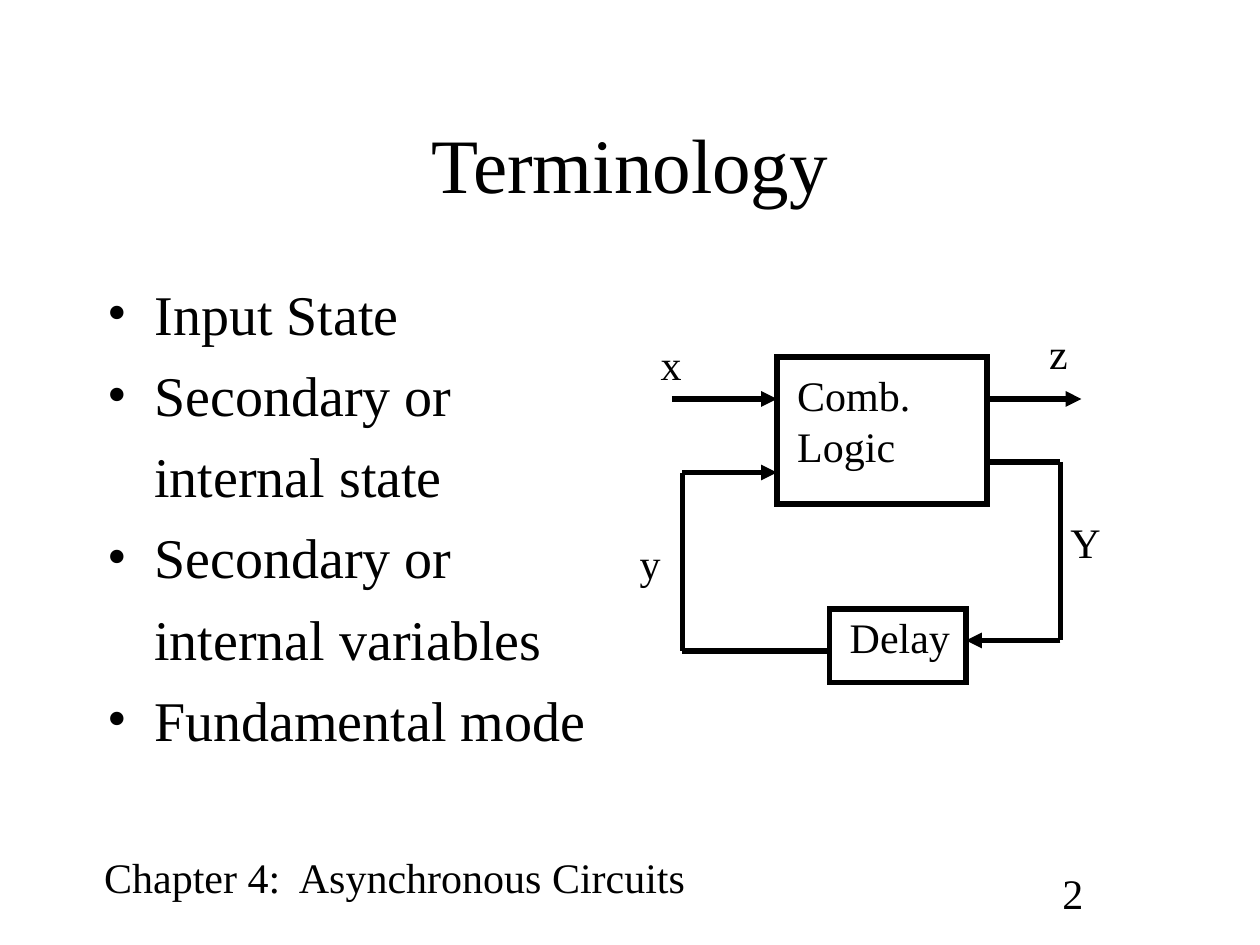
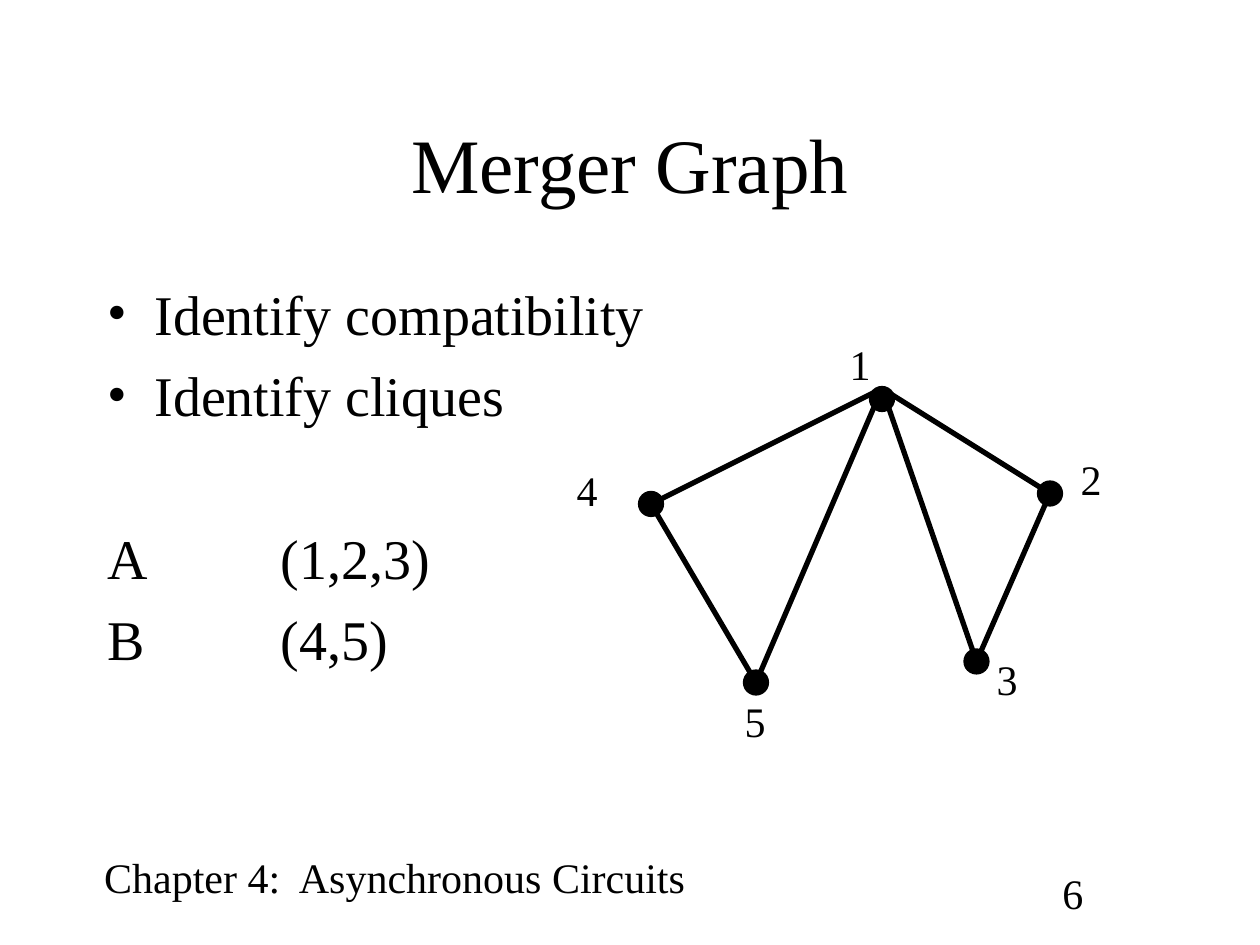
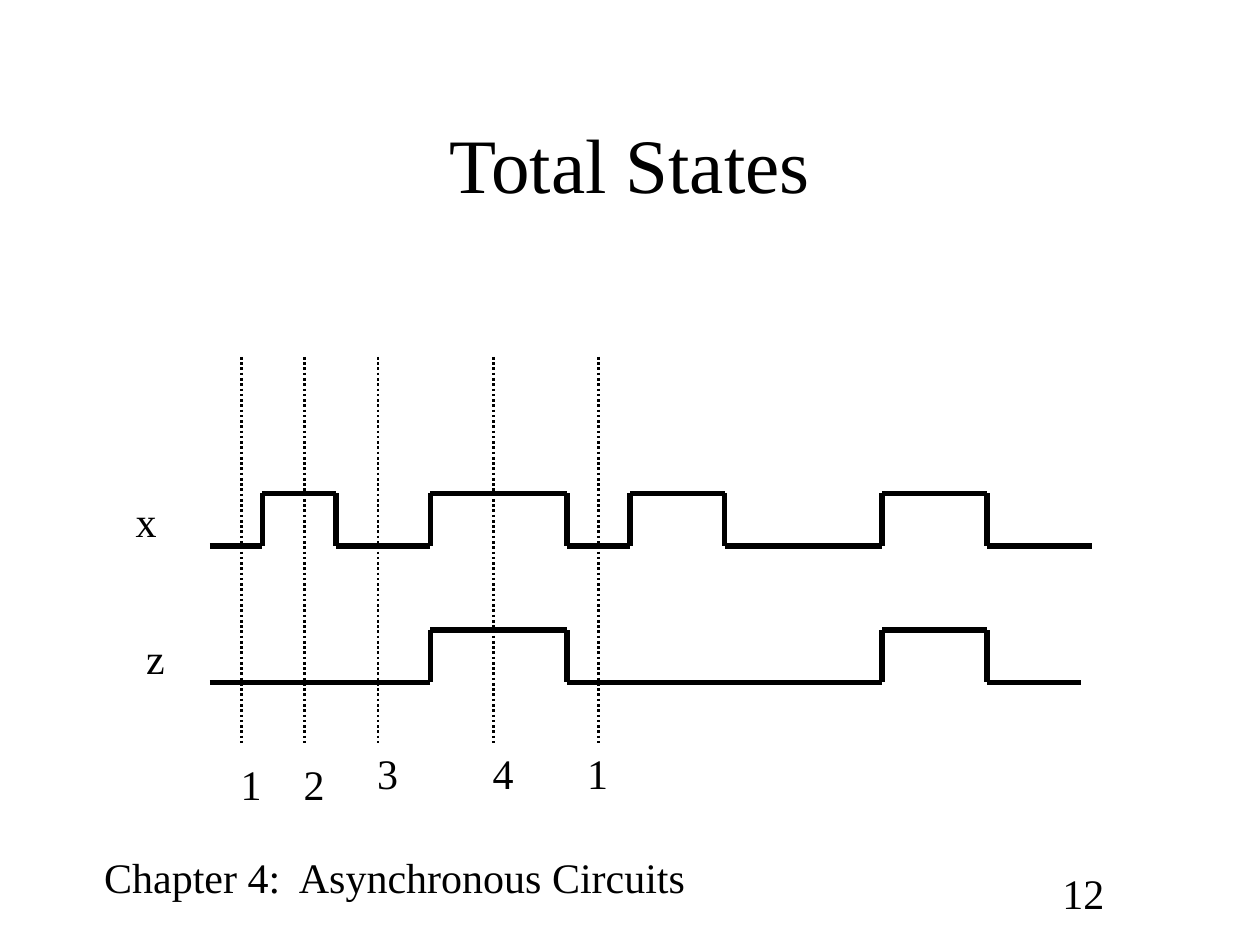
from dataclasses import dataclass
from itertools import pairwise

from lxml.etree import SubElement
from pptx import Presentation
from pptx.dml.color import RGBColor
from pptx.enum.dml import MSO_LINE
from pptx.enum.shapes import MSO_CONNECTOR as CONN, MSO_SHAPE as SHAPE
from pptx.enum.text import MSO_ANCHOR as ANCHOR, MSO_AUTO_SIZE as AUTO, PP_ALIGN as ALIGN
from pptx.oxml.ns import qn
from pptx.slide import Slide
from pptx.util import Emu, Pt

# Shared look
PX = 9525  # 96 px to the inch
FONT = "Times New Roman"
BLACK = RGBColor(0, 0, 0)
WHITE = RGBColor(255, 255, 255)
TITLE_SIZE, BODY_SIZE, LABEL_SIZE = 44, 32, 24
THICK, THIN = 3, 1.5
INDENT, COLUMN = 36, 132
FOOTER = "Chapter 4:  Asynchronous Circuits"
TITLE_ONLY, TITLE_AND_BODY = 5, 1


@dataclass(frozen=True)
class Label:
    text: str
    x: int
    y: int
    w: int = 35
    h: int = 48


@dataclass(frozen=True)
class Item:
    """One body line; a hanging line starts left of its margin."""
    text: str
    bullet: bool = True
    margin: int = INDENT
    hanging: bool = True
    before: float = 8


@dataclass(frozen=True)
class Box:
    x: int
    y: int
    w: int
    h: int


@dataclass(frozen=True)
class Path:
    """Connected straight segments, optionally ending in an arrowhead."""
    points: tuple[tuple[int, int], ...]
    arrow: bool = False


@dataclass(frozen=True)
class Node:
    x: int
    y: int
    joint_y: int  # height at which the edges meet the node
    label: Label


@dataclass(frozen=True)
class Wave:
    """A signal that starts low and toggles at each edge."""
    start: int
    edges: tuple[int, ...]
    end: int
    low: int
    label: Label


# Drawing helpers
def px(n: int) -> Emu:
    return Emu(n * PX)


def place(sp, x: int, y: int, w: int, h: int) -> None:
    sp.left, sp.top, sp.width, sp.height = px(x), px(y), px(w), px(h)


def add_run(p, text: str, size: int) -> None:
    r = p.add_run()
    r.text = text
    r.font.size, r.font.name = Pt(size), FONT
    r.font.color.rgb = BLACK


def add_label(s: Slide, label: Label, wrap: bool = False) -> None:
    sp = s.shapes.add_textbox(*map(px, (label.x, label.y, label.w, label.h)))
    tf = sp.text_frame
    tf.word_wrap = wrap
    tf.auto_size = AUTO.SHAPE_TO_FIT_TEXT
    for i, line in enumerate(label.text.split("\n")):
        p = tf.paragraphs[0] if i == 0 else tf.add_paragraph()
        add_run(p, line, LABEL_SIZE)


def add_line(s: Slide, start: tuple[int, int], end: tuple[int, int],
             width: float = THICK, arrow: bool = False, dotted: bool = False) -> None:
    c = s.shapes.add_connector(CONN.STRAIGHT, *map(px, (*start, *end)))
    c.line.color.rgb, c.line.width = BLACK, Pt(width)
    if dotted:
        c.line.dash_style = MSO_LINE.ROUND_DOT
    if arrow:
        SubElement(c.line._get_or_add_ln(), qn("a:tailEnd"), type="triangle")
    SubElement(c._element.spPr, qn("a:effectLst"))


def add_path(s: Slide, path: Path) -> None:
    last = len(path.points) - 2
    for i, (a, b) in enumerate(pairwise(path.points)):
        add_line(s, a, b, arrow=path.arrow and i == last)


def add_outline(s: Slide, kind: SHAPE, box: Box, filled: bool = False) -> None:
    sp = s.shapes.add_shape(kind, *map(px, (box.x, box.y, box.w, box.h)))
    sp.shadow.inherit = False
    if filled:
        sp.fill.solid()
        sp.fill.fore_color.rgb = BLACK
    else:
        sp.fill.background()
    sp.line.color.rgb, sp.line.width = BLACK, Pt(THICK)
    SubElement(sp.line._get_or_add_ln(), qn("a:miter"), lim="800000")


def add_item(p, item: Item, first: bool) -> None:
    pPr = p._p.get_or_add_pPr()
    pPr.set("marL", str(px(item.margin)))
    pPr.set("indent", str(px(-item.margin if item.hanging else 0)))
    if item.bullet:
        SubElement(pPr, qn("a:buFont"), typeface=FONT)
        SubElement(pPr, qn("a:buChar"), char="•")
    else:
        SubElement(pPr, qn("a:buNone"))
    p.space_before = Pt(0 if first else item.before)
    add_run(p, item.text, BODY_SIZE)


def add_slide(prs, title: str, number: int, items: tuple[Item, ...] = ()) -> Slide:
    s = prs.slides.add_slide(prs.slide_layouts[TITLE_AND_BODY if items else TITLE_ONLY])
    s.background.fill.solid()
    s.background.fill.fore_color.rgb = WHITE

    # Title
    place(s.shapes.title, 72, 64, 816, 120)
    tf = s.shapes.title.text_frame
    tf.vertical_anchor, tf.auto_size = ANCHOR.MIDDLE, AUTO.NONE
    tf.paragraphs[0].alignment = ALIGN.CENTER
    add_run(tf.paragraphs[0], title, TITLE_SIZE)

    # Body list
    if items:
        body = s.placeholders[1]
        place(body, 72, 208, 816, 432)
        tf = body.text_frame
        tf.auto_size = AUTO.NONE
        for i, item in enumerate(items):
            add_item(tf.paragraphs[0] if i == 0 else tf.add_paragraph(), item, i == 0)

    # Footer
    add_label(s, Label(FOOTER, 70, 644, 472))
    add_label(s, Label(str(number), 800, 656, 88), wrap=True)
    return s


# Terminology: feedback circuit
TERMS = (
    Item("Input State"),
    Item("Secondary or"),
    Item("internal state", bullet=False, hanging=False),
    Item("Secondary or"),
    Item("internal variables", bullet=False, hanging=False),
    Item("Fundamental mode"),
)
BLOCKS = (Box(592, 272, 160, 112), Box(632, 464, 104, 56))
WIRES = (
    Path(((752, 352), (808, 352), (808, 488), (736, 488)), arrow=True),
    Path(((632, 496), (520, 496), (520, 360), (592, 360)), arrow=True),
    Path(((512, 304), (592, 304)), arrow=True),
    Path(((752, 304), (824, 304)), arrow=True),
)
CIRCUIT_LABELS = (
    Label("Comb.\nLogic", 598, 277, 108, 86),
    Label("Delay", 638, 461, 100),
    Label("x", 494, 253),
    Label("z", 790, 245),
    Label("Y", 806, 389, 42),
    Label("y", 478, 405),
)


def terminology(prs) -> None:
    s = add_slide(prs, "Terminology", 2, TERMS)
    for block in BLOCKS:
        add_outline(s, SHAPE.RECTANGLE, block)
    for wire in WIRES:
        add_path(s, wire)
    for label in CIRCUIT_LABELS:
        add_label(s, label)


# Merger Graph: compatibility graph
STEPS = (
    Item("Identify compatibility"),
    Item("Identify cliques"),
    Item("A\t(1,2,3)", bullet=False, margin=COLUMN, before=54.5),
    Item("B\t(4,5)", bullet=False, margin=COLUMN),
)
DOT = 16
NODES = {
    1: Node(672, 304, 296, Label("1", 638, 253)),
    2: Node(800, 376, 376, Label("2", 814, 341)),
    3: Node(744, 504, 504, Label("3", 750, 493)),
    4: Node(496, 384, 384, Label("4", 430, 349)),
    5: Node(576, 520, 520, Label("5", 558, 525)),
}
COMPATIBLE = ((1, 4), (4, 5), (1, 5), (1, 3), (1, 2), (2, 3))


def merger_graph(prs) -> None:
    s = add_slide(prs, "Merger Graph", 6, STEPS)
    for a, b in COMPATIBLE:
        add_line(s, (NODES[a].x, NODES[a].joint_y), (NODES[b].x, NODES[b].joint_y))
    for node in NODES.values():
        dot = Box(node.x - DOT // 2, node.y - DOT // 2, DOT, DOT)
        add_outline(s, SHAPE.OVAL, dot, filled=True)
        add_label(s, node.label)


# Total States: timing diagram
SWING = 40
WAVES = (
    Wave(160, (200, 256, 328, 432, 480, 552, 672, 752), 832, 416, Label("x", 94, 373)),
    Wave(160, (328, 432, 672, 752), 824, 520, Label("z", 102, 477)),
)
MARKER_TOP, MARKER_BOTTOM = 272, 568
MARKERS = (
    (184, Label("1", 174, 573)),
    (232, Label("2", 222, 573)),
    (288, Label("3", 278, 565)),
    (376, Label("4", 366, 565)),
    (456, Label("1", 438, 565)),
)


def wave_path(wave: Wave) -> Path:
    high = wave.low - SWING
    points = [(wave.start, wave.low)]
    for i, x in enumerate(wave.edges):
        points += [(x, wave.low), (x, high)] if i % 2 == 0 else [(x, high), (x, wave.low)]
    return Path((*points, (wave.end, wave.low)))


def total_states(prs) -> None:
    s = add_slide(prs, "Total States", 12)
    for x, label in MARKERS:
        add_line(s, (x, MARKER_TOP), (x, MARKER_BOTTOM), THIN, dotted=True)
        add_label(s, label)
    for wave in WAVES:
        add_path(s, wave_path(wave))
        add_label(s, wave.label)


def main() -> None:
    prs = Presentation()
    prs.slide_width, prs.slide_height = px(960), px(720)
    terminology(prs)
    merger_graph(prs)
    total_states(prs)
    prs.save("out.pptx")


if __name__ == "__main__":
    main()
